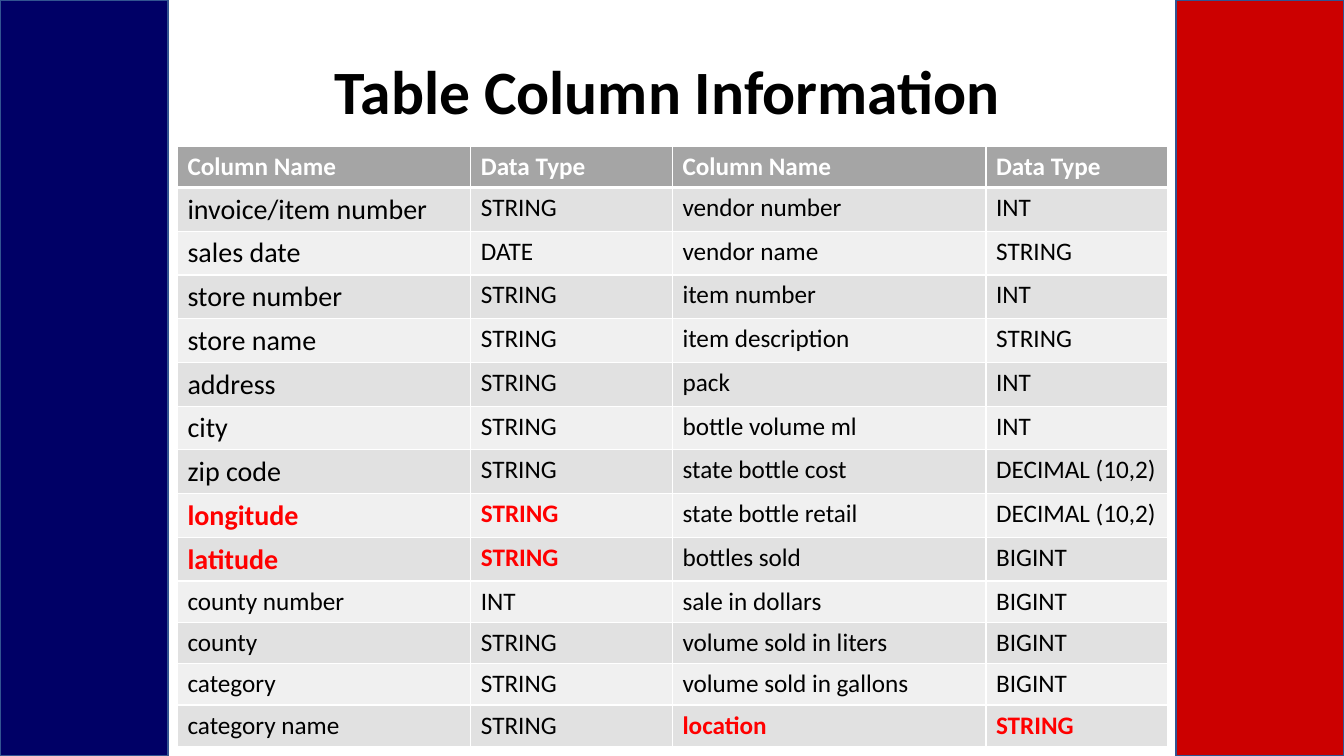
from dataclasses import dataclass

from lxml import etree
from pptx import Presentation
from pptx import util as u
from pptx.dml.color import RGBColor
from pptx.enum import shapes, text
from pptx.oxml import ns

TITLE = "Table Column Information"
HEADER = ("Column Name", "Data Type") * 2
FIELDS = [
    ("invoice/item number", "STRING", "vendor number", "INT"),
    ("sales date", "DATE", "vendor name", "STRING"),
    ("store number", "STRING", "item number", "INT"),
    ("store name", "STRING", "item description", "STRING"),
    ("address", "STRING", "pack", "INT"),
    ("city", "STRING", "bottle volume ml", "INT"),
    ("zip code", "STRING", "state bottle cost", "DECIMAL (10,2)"),
    ("longitude", "STRING", "state bottle retail", "DECIMAL (10,2)"),
    ("latitude", "STRING", "bottles sold", "BIGINT"),
    ("county number", "INT", "sale in dollars", "BIGINT"),
    ("county", "STRING", "volume sold in liters", "BIGINT"),
    ("category", "STRING", "volume sold in gallons", "BIGINT"),
    ("category name", "STRING", "location", "STRING"),
]
HIGHLIGHTED = {"longitude", "latitude", "location"}
LARGE_ROWS = 9  # leading field rows whose first column is set larger


@dataclass(frozen=True)
class Theme:
    font: str = "Calibri"
    navy: str = "000066"
    crimson: str = "CC0000"
    outline: str = "325491"
    header: str = "A5A5A5"
    bands: tuple = ("E1E1E1", "F0F0F0")
    white: str = "FFFFFF"
    ink: str = "000000"
    accent: str = "FF0000"
    title_size: int = 44
    large_size: int = 20
    body_size: int = 18


THEME = Theme()
WIDTH, HEIGHT = 13.33, 7.5
BAND_WIDTH = WIDTH / 8
TABLE_LEFT, TABLE_TOP = 1.76, 1.45
COLUMN_WIDTHS = (2.91, 2, 3.11, 1.8)
ROW_HEIGHT = 0.41


def rgb(color):
    return RGBColor.from_string(color)


def write(frame, words, size=THEME.body_size, color=THEME.ink, bold=False,
          align=text.PP_ALIGN.LEFT, line_spacing=None):
    para = frame.paragraphs[0]
    para.alignment = align
    para.line_spacing = line_spacing
    span = para.add_run()
    span.text = words
    span.font.name = THEME.font
    span.font.size = u.Pt(size)
    span.font.bold = bold
    span.font.color.rgb = rgb(color)


def add_side_band(page, left, color):
    band = page.shapes.add_shape(shapes.MSO_SHAPE.RECTANGLE, u.Inches(left), 0,
                                 u.Inches(BAND_WIDTH), u.Inches(HEIGHT))
    band.shadow.inherit = False
    band.fill.solid()
    band.fill.fore_color.rgb = rgb(color)
    band.line.color.rgb = rgb(THEME.outline)
    band.line.width = u.Pt(1)


def add_title(page):
    box = page.shapes.add_textbox(*map(u.Inches, (1.62, 0.21, 10.01, 1.45)))
    frame = box.text_frame
    frame.word_wrap = True
    frame.vertical_anchor = text.MSO_ANCHOR.MIDDLE
    write(frame, TITLE, size=THEME.title_size, bold=True,
          align=text.PP_ALIGN.CENTER, line_spacing=0.9)


def style_cell(cell, fill, top=1, bottom=1):
    """Give a cell its fill and white borders, widths in points."""
    properties = cell._tc.get_or_add_tcPr()
    for side, width in (("L", 1), ("R", 1), ("T", top), ("B", bottom)):
        line = etree.SubElement(properties, ns.qn(f"a:ln{side}"), w=str(u.Pt(width)))
        solid = etree.SubElement(line, ns.qn("a:solidFill"))
        etree.SubElement(solid, ns.qn("a:srgbClr"), val=THEME.white)
    cell.fill.solid()
    cell.fill.fore_color.rgb = rgb(fill)


def add_field_table(page):
    row_count = len(FIELDS) + 1
    table = page.shapes.add_table(
        row_count, len(HEADER), u.Inches(TABLE_LEFT), u.Inches(TABLE_TOP),
        u.Inches(sum(COLUMN_WIDTHS)), u.Inches(ROW_HEIGHT * row_count)).table
    for column, width in zip(table.columns, COLUMN_WIDTHS):
        column.width = u.Inches(width)
    for row in table.rows:
        row.height = u.Inches(ROW_HEIGHT)

    for c, words in enumerate(HEADER):
        cell = table.cell(0, c)
        style_cell(cell, THEME.header, bottom=3)
        write(cell.text_frame, words, color=THEME.white, bold=True)

    for r, values in enumerate(FIELDS, start=1):
        for c, words in enumerate(values):
            cell = table.cell(r, c)
            style_cell(cell, THEME.bands[(r - 1) % 2], top=3 if r == 1 else 1)
            marked = values[c - c % 2] in HIGHLIGHTED
            large = c == 0 and r <= LARGE_ROWS
            write(cell.text_frame, words, bold=marked,
                  size=THEME.large_size if large else THEME.body_size,
                  color=THEME.accent if marked else THEME.ink)


def main():
    deck = Presentation()
    deck.slide_width, deck.slide_height = u.Inches(WIDTH), u.Inches(HEIGHT)
    page = deck.slides.add_slide(deck.slide_layouts[6])
    add_side_band(page, 0, THEME.navy)
    add_side_band(page, WIDTH - BAND_WIDTH, THEME.crimson)
    add_title(page)
    add_field_table(page)
    deck.save("out.pptx")


if __name__ == "__main__":
    main()
